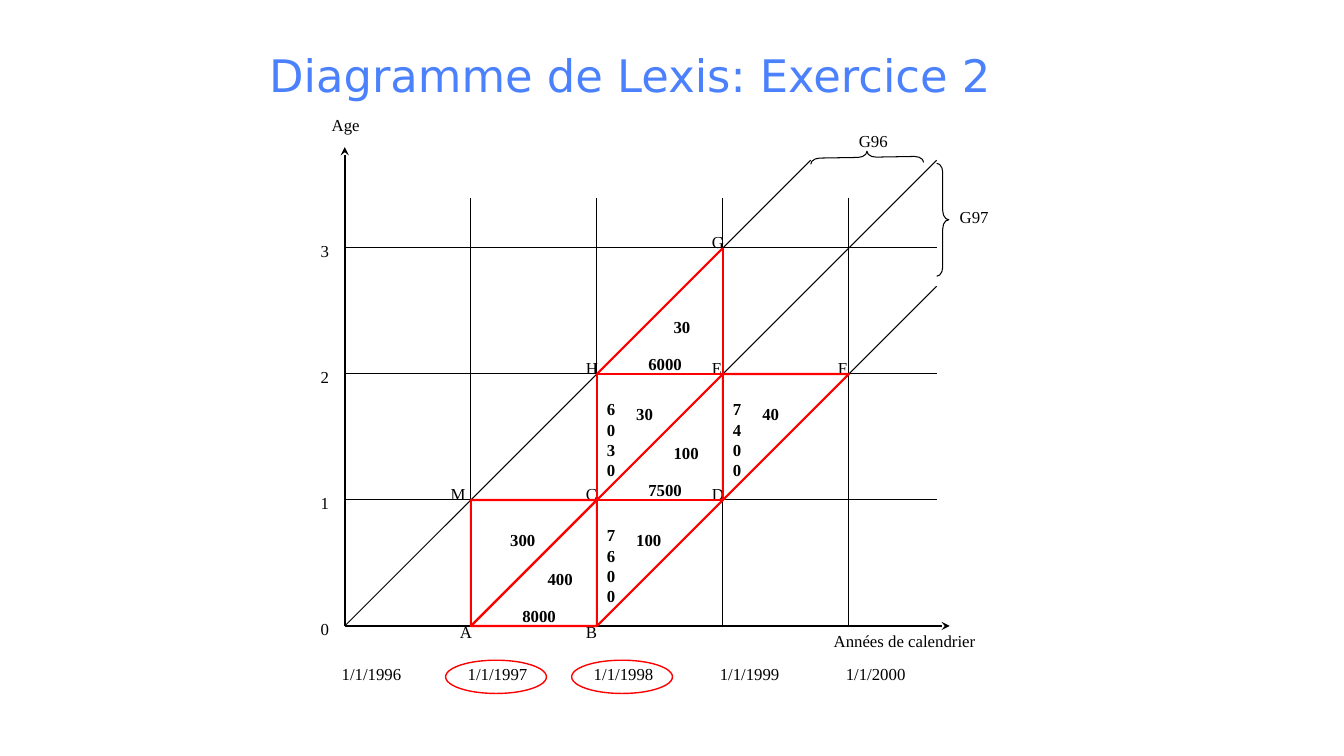
"""Build the Lexis diagram slide for exercise 2."""
from dataclasses import dataclass

from lxml.etree import SubElement
from pptx import Presentation
from pptx.dml.color import RGBColor
from pptx.enum.shapes import MSO_CONNECTOR as Link, MSO_SHAPE as Preset
from pptx.enum.text import MSO_ANCHOR as Anchor, PP_ALIGN as Align
from pptx.oxml.ns import qn
from pptx.util import Inches, Pt

BLACK, RED, BLUE = "000000", "FF0000", "4C81FD"
ORIGIN_X, ORIGIN_Y, STEP = 3.42, 6.21, 1.25
EDGE_X = 9.29


@dataclass
class Label:
    text: str
    x: float
    y: float
    width: float = 0.5
    height: float = 0.25
    bold: bool = False
    left: float = 0.1
    top: float = 0.05


@dataclass
class Line:
    x1: float
    y1: float
    x2: float
    y2: float
    color: str = BLACK
    weight: float = 0.75
    arrow: bool = False


@dataclass
class Outline:
    preset: Preset
    x: float
    y: float
    width: float = STEP
    height: float = STEP
    color: str = BLACK
    weight: float = 0.75
    rotation: float = 0


@dataclass
class Count:
    text: str
    year: int
    age: int


def rgb(color: str) -> RGBColor:
    return RGBColor.from_string(color)


def at_year(year: float) -> float:
    return ORIGIN_X + year * STEP


def at_age(age: float) -> float:
    return ORIGIN_Y - age * STEP


def apply(target, values: dict) -> None:
    for name, value in values.items():
        setattr(target, name, value)


def draw_label(shapes, label: Label) -> None:
    box = shapes.add_textbox(*map(Inches, (label.x, label.y, label.width, label.height)))
    frame = box.text_frame
    apply(frame, {"word_wrap": True, "vertical_anchor": Anchor.TOP,
                  "margin_left": Inches(label.left), "margin_top": Inches(label.top),
                  "margin_right": Inches(0), "margin_bottom": Inches(0)})
    run = frame.paragraphs[0].add_run()
    run.text = label.text
    apply(run.font, {"name": "Times New Roman", "size": Pt(12), "bold": label.bold})
    run.font.color.rgb = rgb(BLACK)


def draw_line(shapes, line: Line) -> None:
    ends = map(Inches, (line.x1, line.y1, line.x2, line.y2))
    connector = shapes.add_connector(Link.STRAIGHT, *ends)
    connector.line.color.rgb = rgb(line.color)
    connector.line.width = Pt(line.weight)
    properties = connector.element.spPr
    if line.arrow:
        SubElement(properties.find(qn("a:ln")), qn("a:tailEnd"), type="stealth")
    SubElement(properties, qn("a:effectLst"))


def draw_outline(shapes, outline: Outline) -> None:
    place = map(Inches, (outline.x, outline.y, outline.width, outline.height))
    shape = shapes.add_shape(outline.preset, *place)
    shape.rotation = outline.rotation
    shape.shadow.inherit = False
    shape.fill.background()
    shape.line.color.rgb = rgb(outline.color)
    shape.line.width = Pt(outline.weight)
    if outline.preset == Preset.RIGHT_BRACE:
        shape.adjustments[0] = 0.75


def draw_title(slide) -> None:
    title = slide.shapes.title
    apply(title, {"left": Inches(2.57), "top": Inches(0.42),
                  "width": Inches(8.11), "height": Inches(0.64)})
    title.text_frame.text = "Diagramme de Lexis: Exercice 2"
    title.text_frame.vertical_anchor = Anchor.MIDDLE
    heading = title.text_frame.paragraphs[0]
    heading.alignment = Align.LEFT
    apply(heading.font, {"name": "DejaVu Sans", "size": Pt(32)})
    heading.font.color.rgb = rgb(BLUE)


def draw_grid(shapes) -> None:
    cells = [(year, age) for year in range(4) for age in range(3) if (year, age) != (0, 0)]
    for year, age in cells:
        draw_outline(shapes, Outline(Preset.RECTANGLE, at_year(year), at_age(age + 1)))
    for mark in range(1, 5):
        draw_line(shapes, Line(at_year(mark), 1.96, at_year(mark), at_age(3)))
    for age in range(1, 4):
        draw_line(shapes, Line(at_year(4), at_age(age), EDGE_X, at_age(age)))
    for birth, span in enumerate((4.62, 4.62, 3.37)):
        x = at_year(birth)
        draw_line(shapes, Line(x, ORIGIN_Y, x + span, ORIGIN_Y - span))
    for tip in ((ORIGIN_X, 1.46), (9.42, ORIGIN_Y)):
        draw_line(shapes, Line(ORIGIN_X, ORIGIN_Y, *tip, weight=1.5, arrow=True))


def draw_axis_labels(shapes) -> None:
    draw_label(shapes, Label("Age", 3.17, 1.09, 0.62, left=0.12))
    draw_label(shapes, Label("Années de calendrier", 8.17, 6.21, 1.62))
    draw_label(shapes, Label("G96", 8.42, 1.25))
    draw_label(shapes, Label("G97", 9.42, 2))
    for index in range(5):
        draw_label(shapes, Label(f"1/1/{1996 + index}", at_year(index) - 0.13, 6.54, 0.88, 0.33))
    for age in range(4):
        draw_label(shapes, Label(str(age), 3.04, at_age(age) - 0.12, 0.38, left=0.14))
    draw_outline(shapes, Outline(Preset.RIGHT_BRACE, EDGE_X, 1.62, 0.12, 1.12))
    draw_outline(shapes, Outline(Preset.RIGHT_BRACE, 8.54, 1, 0.12, 1.12, rotation=269))


def draw_counts(shapes) -> None:
    upper_deaths = [Count("300", 1, 0), Count("100", 2, 0), Count("30", 2, 1), Count("40", 3, 1)]
    lower_deaths = [Count("400", 1, 0), Count("100", 2, 1), Count("30", 2, 2)]
    at_birthday = [Count("8000", 1, 0), Count("7500", 2, 1), Count("6000", 2, 2)]
    at_new_year = [Count("7600", 2, 0), Count("6030", 2, 1), Count("7400", 3, 1)]
    groups = [(upper_deaths, 0.25, 0.25), (lower_deaths, 0.62, 0.63), (at_birthday, 0.37, 1)]
    for counts, dx, dy in groups:
        for count in counts:
            draw_label(shapes, Label(count.text, at_year(count.year) + dx,
                                     at_age(count.age + 1) + dy, 0.62, bold=True, left=0.14))
    for count in at_new_year:
        draw_label(shapes, Label(count.text, at_year(count.year), at_age(count.age + 1),
                                 0.25, 1.16, bold=True, top=0.25))


def draw_events(shapes) -> None:
    points = {"A": (1, 0), "B": (2, 0), "C": (2, 1), "D": (3, 1), "E": (3, 2),
              "F": (4, 2), "G": (3, 3), "H": (2, 2), "M": (1, 1)}
    for letter, (year, age) in points.items():
        x = at_year(year) - (0.34 if letter == "M" else 0.25)
        y = at_age(age) - (0.21 if age else 0.09)
        draw_label(shapes, Label(letter, x, y, 0.38, left=0.14))
    for year in (1, 2):
        draw_outline(shapes, Outline(Preset.OVAL, at_year(year) - 0.25, 6.55, 1, 0.33, RED, 1))
    for year, age, rotation in ((1, 0, 270), (1, 0, 90), (3, 1, 90)):
        draw_outline(shapes, Outline(Preset.RIGHT_TRIANGLE, at_year(year), at_age(age + 1),
                                     color=RED, weight=1.5, rotation=rotation))
    for start, end in ("AB", "CB", "CE", "BD", "ED", "CD", "HG", "HC", "GE", "HE"):
        (year1, age1), (year2, age2) = points[start], points[end]
        draw_line(shapes, Line(at_year(year1), at_age(age1),
                               at_year(year2), at_age(age2), RED, 1.5))


def main() -> None:
    deck = Presentation()
    deck.slide_width, deck.slide_height = Inches(13.33), Inches(7.5)
    slide = deck.slides.add_slide(deck.slide_layouts[5])
    draw_title(slide)
    for draw in (draw_grid, draw_axis_labels, draw_counts, draw_events):
        draw(slide.shapes)
    deck.save("out.pptx")


if __name__ == "__main__":
    main()
